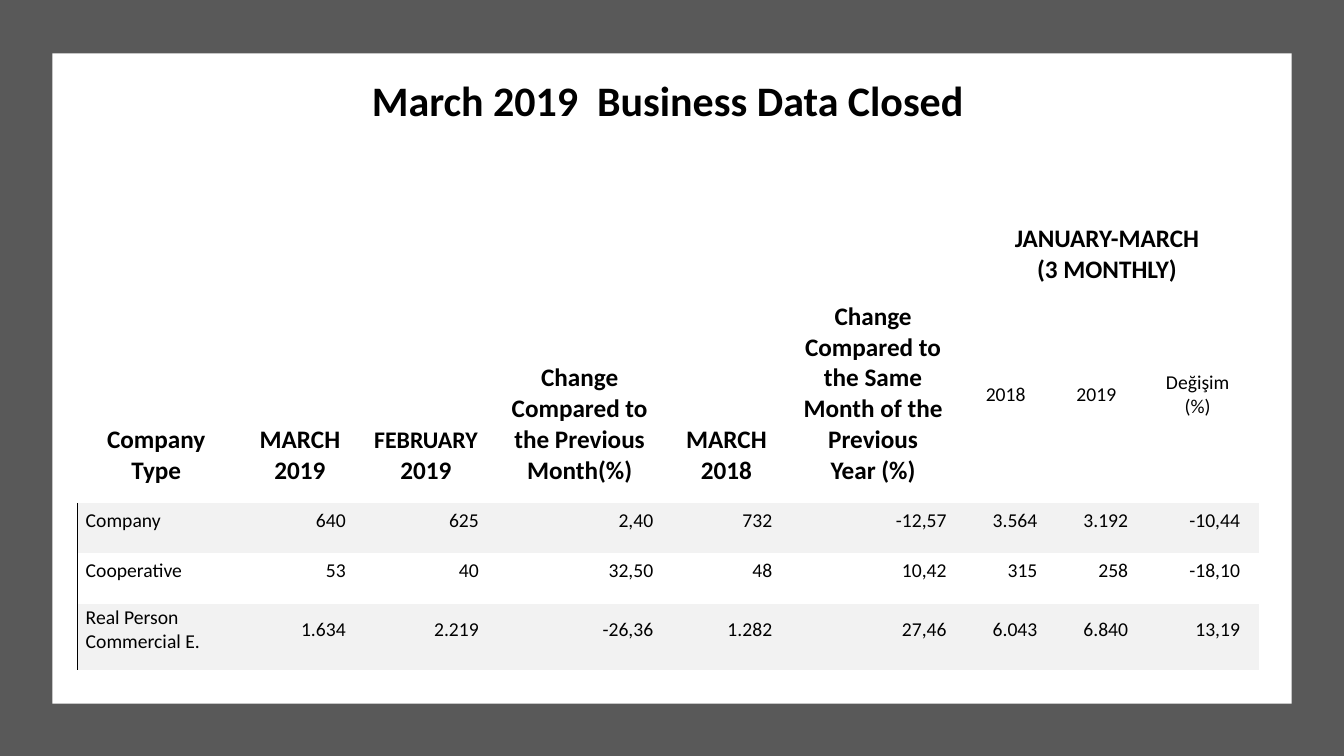
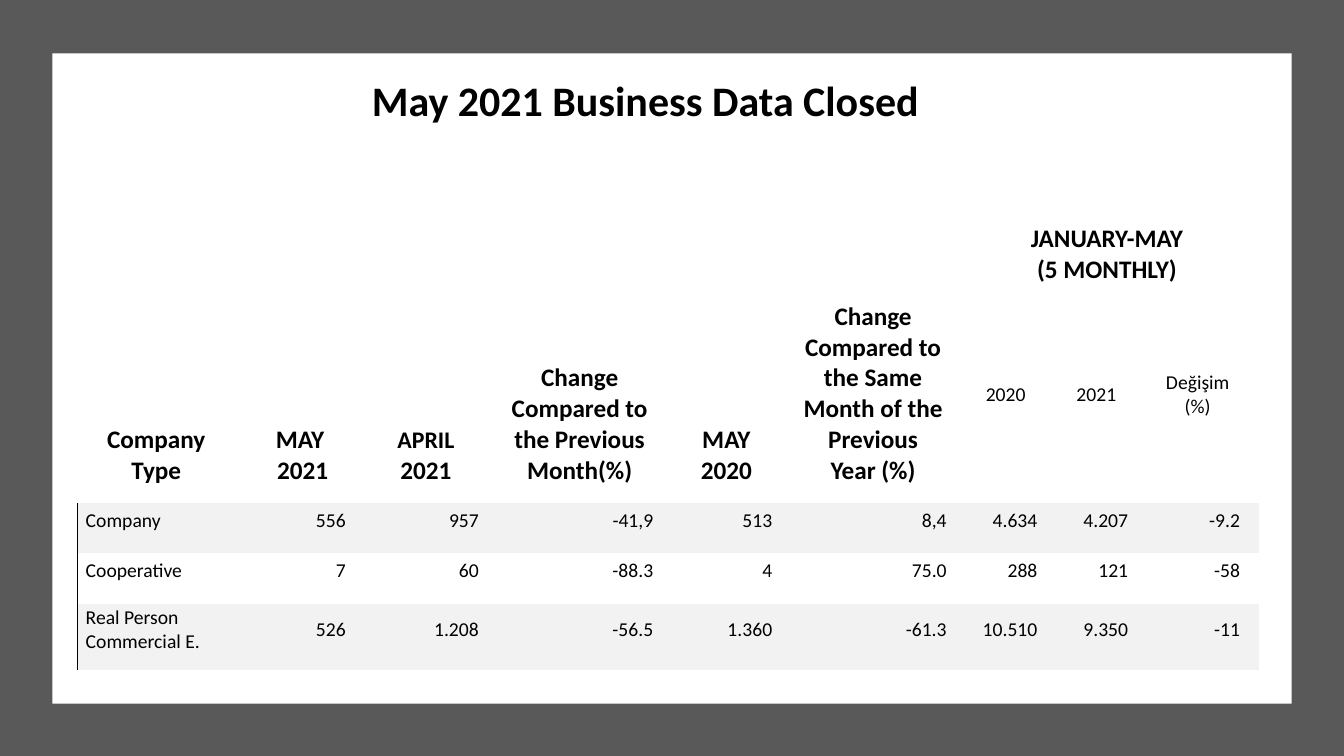
import pptx
import pptx.util
import pptx.oxml
import pptx.oxml.ns
import pptx.dml.color
import pptx.enum.text
import pptx.enum.shapes
import lxml.etree

ALIGN = pptx.enum.text.PP_ALIGN
ANCHOR = pptx.enum.text.MSO_ANCHOR
Inches, Pt = pptx.util.Inches, pptx.util.Pt

COLORS = {"frame": "595959", "panel": "FFFFFF", "band": "F2F2F2", "ink": "000000"}
FONT = "Calibri"
NO_STYLE = "{2D5ABB26-0587-4C30-8999-92F81FD0307C}"
WIDTH, HEIGHT = 13.33, 7.5
COLUMNS = [1.67, 1.18, 1.32, 1.73, 1.18, 1.73, 0.9, 0.9, 1.11]
INSETS = {"left": 0.08, "top": 0.02, "right": 0.19, "bottom": 0.17}
TYPES = ["Company", "Cooperative", "Real Person Commercial E."]
PREVIOUS_MONTH = "Change Compared to the Previous Month(%)"
PREVIOUS_YEAR = "Change Compared to the Same Month of the Previous Year\u00a0(%)"

SLIDES = [
    {
        "title": "March 2019\u00a0 Business Data Closed",
        "months": ("MARCH 2019", "FEBRUARY\n2019", "MARCH 2018"),
        "period": "JANUARY-MARCH\n(3 MONTHLY)",
        "years": ("2018", "2019"),
        "year_row": 0.87,
        "values": [
            ("640", "625", "2,40", "732", "-12,57", "3.564", "3.192", "-10,44"),
            ("53", "40", "32,50", "48", "10,42", "315", "258", "-18,10"),
            ("1.634", "2.219", "-26,36", "1.282", "27,46", "6.043", "6.840", "13,19"),
        ],
    },
    {
        "title": "May 2021 Business Data Closed",
        "months": ("MAY\n\u00a02021", "APRIL\n2021", "MAY 2020"),
        "period": "JANUARY-MAY\n(5\u00a0MONTHLY)",
        "years": ("2020", "2021"),
        "year_row": 0.99,
        "values": [
            ("556", "957", "-41,9", "513", "8,4", "4.634", "4.207", "-9.2"),
            ("7", "60", "-88.3", "4", "75.0", "288", "121", "-58"),
            ("526", "1.208", "-56.5", "1.360", "-61.3", "10.510", "9.350", "-11"),
        ],
    },
]


def rgb(name):
    return pptx.dml.color.RGBColor.from_string(COLORS[name])


def format_text(tf, size, bold, align):
    for p in tf.paragraphs:
        p.alignment = align
        for r in p.runs:
            r.font.name, r.font.size, r.font.bold = FONT, Pt(size), bold
            r.font.color.rgb = rgb("ink")


def add_rect(s, color, x, y, w, h):
    sp = s.shapes.add_shape(pptx.enum.shapes.MSO_SHAPE.RECTANGLE,
                            Inches(x), Inches(y), Inches(w), Inches(h))
    sp.shadow.inherit = False
    sp.fill.solid()
    sp.fill.fore_color.rgb = rgb(color)
    sp.line.fill.background()


def add_base(s, title):
    add_rect(s, "frame", 0, 0, WIDTH, HEIGHT)
    add_rect(s, "panel", 0.52, 0.53, 12.29, 6.45)
    box = s.shapes.add_textbox(Inches(3.59), Inches(0.69), Inches(6.82), Inches(0.61))
    tf = box.text_frame
    tf.word_wrap = True
    tf.auto_size = pptx.enum.text.MSO_AUTO_SIZE.SHAPE_TO_FIT_TEXT
    tf.text = title
    format_text(tf, 30, True, ALIGN.LEFT)


def add_left_border(cell):
    tc_pr = cell._tc.get_or_add_tcPr()
    ln = lxml.etree.SubElement(tc_pr, pptx.oxml.ns.qn("a:lnL"), w=str(Pt(0.75)))
    fill = lxml.etree.SubElement(ln, pptx.oxml.ns.qn("a:solidFill"))
    lxml.etree.SubElement(fill, pptx.oxml.ns.qn("a:srgbClr"), val=COLORS["ink"])


def fill_cell(cell, text, size, bold, align, anchor):
    cell.text = text
    cell.vertical_anchor = anchor
    for side, inset in INSETS.items():
        setattr(cell, "margin_" + side, Inches(inset))
    format_text(cell.text_frame, size, bold, align)


def add_data_table(s, data):
    this_month, last_month, year_ago = data["months"]
    header = ["Company Type", this_month, last_month, PREVIOUS_MONTH,
              year_ago, PREVIOUS_YEAR, data["period"], "", ""]
    years = [""] * 6 + [*data["years"], "Değişim (%)"]
    body = [(kind, *values) for kind, values in zip(TYPES, data["values"])]
    heights = [1.03, data["year_row"], 0.5, 0.5, 0.48]

    frame = s.shapes.add_table(len(heights), len(COLUMNS), Inches(0.77), Inches(1.97),
                               Inches(sum(COLUMNS)), Inches(sum(heights)))
    table = frame.table
    table.first_row = table.horz_banding = False
    for style in frame._element.iter(pptx.oxml.ns.qn("a:tableStyleId")):
        style.text = NO_STYLE
    for column, width in zip(table.columns, COLUMNS):
        column.width = Inches(width)
    for row, height in zip(table.rows, heights):
        row.height = Inches(height)

    for r, texts in enumerate([header, years, *body]):
        for c, text in enumerate(texts):
            cell = table.cell(r, c)
            if r < 2:
                align = ALIGN.CENTER
            else:
                align = ALIGN.RIGHT if c else ALIGN.LEFT
            fill_cell(cell, text, 14 if r else 18, r == 0, align,
                      ANCHOR.MIDDLE if r else ANCHOR.BOTTOM)
            if r >= 2 and c == 0:
                add_left_border(cell)
            if r in (2, 4):
                cell.fill.solid()
                cell.fill.fore_color.rgb = rgb("band")
            else:
                cell.fill.background()

    table.cell(0, 2).text_frame.paragraphs[0].runs[0].font.size = Pt(17)
    for c in range(6):
        table.cell(0, c).merge(table.cell(1, c))
    table.cell(0, 6).merge(table.cell(0, 8))


prs = pptx.Presentation()
prs.slide_width, prs.slide_height = Inches(WIDTH), Inches(HEIGHT)
for data in SLIDES:
    s = prs.slides.add_slide(prs.slide_layouts[6])
    add_base(s, data["title"])
    add_data_table(s, data)
prs.save("out.pptx")
